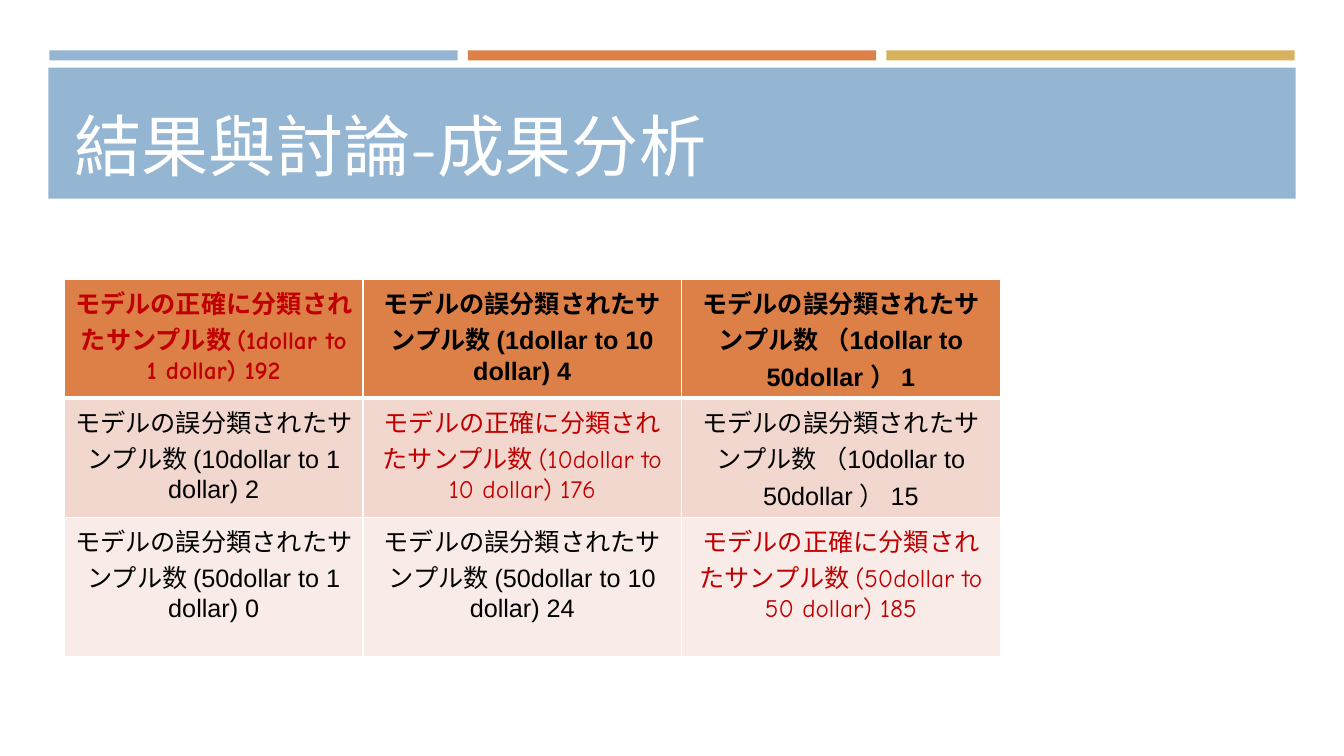
from lxml import etree
from pptx import Presentation
from pptx.dml.color import RGBColor
from pptx.enum import shapes, text
from pptx.oxml.ns import qn
from pptx.util import Inches, Pt

WHITE = RGBColor(0xFF, 0xFF, 0xFF)
BLACK = RGBColor(0, 0, 0)
RED = RGBColor(0xC0, 0, 0)
BLUE = RGBColor(0x94, 0xB6, 0xD2)
ORANGE = RGBColor(0xDD, 0x80, 0x47)
GOLD = RGBColor(0xD8, 0xB2, 0x5C)
ROW_FILLS = [ORANGE, RGBColor(0xF2, 0xD7, 0xCE), RGBColor(0xF9, 0xEC, 0xE8)]

COLUMN_WIDTHS = [2.96, 3.16, 3.16]
ROW_HEIGHTS = [1.18, 1.18, 1.38]
DOLLARS = [1, 10, 50]
SAMPLE_COUNTS = [[192, 4, 1], [2, 176, 15], [0, 24, 185]]


def add_band(slide, left, top, width, height, color):
    band = slide.shapes.add_shape(
        shapes.MSO_SHAPE.RECTANGLE,
        Inches(left), Inches(top), Inches(width), Inches(height))
    band.shadow.inherit = False
    band.fill.solid()
    band.fill.fore_color.rgb = color
    band.line.fill.background()


def write_run(paragraph, words, color, **font_format):
    run = paragraph.add_run()
    run.text = words
    run.font.color.rgb = color
    for name, value in font_format.items():
        setattr(run.font, name, value)


def add_title(slide, words):
    title = slide.shapes.add_textbox(
        Inches(0.64), Inches(0.77), Inches(12.06), Inches(1.11))
    frame = title.text_frame
    frame.word_wrap = True
    frame.vertical_anchor = text.MSO_ANCHOR.BOTTOM
    write_run(frame.paragraphs[0], words, WHITE,
              size=Pt(48), name="Comic Neue")


def set_borders(cell, bottom_width):
    properties = cell._tc.get_or_add_tcPr()
    for side, width in {"L": 1, "R": 1, "T": 1, "B": bottom_width}.items():
        border = etree.SubElement(properties, qn(f"a:ln{side}"), w=str(Pt(width)))
        fill = etree.SubElement(border, qn("a:solidFill"))
        etree.SubElement(fill, qn("a:srgbClr"), val=str(WHITE))


def count_label(row, column):
    """Wording for samples of one coin (row) classified as another (column)."""
    actual, predicted = DOLLARS[row], DOLLARS[column]
    count = SAMPLE_COUNTS[row][column]
    if row == column:
        return f"モデルの正確に分類されたサンプル数 ({actual}dollar to {predicted} dollar) {count}"
    if predicted == 50:
        return f"モデルの誤分類されたサンプル数 （{actual}dollar to {predicted}dollar ） {count}"
    return f"モデルの誤分類されたサンプル数 ({actual}dollar to {predicted} dollar) {count}"


def fill_cell(cell, row, column):
    correct = row == column
    set_borders(cell, 3 if row == 0 else 1)
    cell.fill.solid()
    cell.fill.fore_color.rgb = ROW_FILLS[row]
    paragraph = cell.text_frame.paragraphs[0]
    paragraph.alignment = text.PP_ALIGN.CENTER
    write_run(paragraph, count_label(row, column), RED if correct else BLACK,
              size=Pt(18), bold=row == 0,
              name="Comic Neue" if correct else "Arial")


def add_confusion_table(slide):
    table = slide.shapes.add_table(
        len(ROW_HEIGHTS), len(COLUMN_WIDTHS), Inches(0.64), Inches(2.77),
        Inches(sum(COLUMN_WIDTHS)), Inches(sum(ROW_HEIGHTS))).table
    for column, width in enumerate(COLUMN_WIDTHS):
        table.columns[column].width = Inches(width)
    for row, height in enumerate(ROW_HEIGHTS):
        table.rows[row].height = Inches(height)
        for column in range(len(COLUMN_WIDTHS)):
            fill_cell(table.cell(row, column), row, column)


def main():
    deck = Presentation()
    deck.slide_width, deck.slide_height = Inches(13.33), Inches(7.5)
    slide = deck.slides.add_slide(deck.slide_layouts[6])
    for index, color in enumerate([BLUE, ORANGE, GOLD]):
        add_band(slide, 0.49 + 4.15 * index, 0.5, 4.05, 0.1, color)
    add_band(slide, 0.48, 0.67, 12.37, 1.3, BLUE)
    add_title(slide, "結果與討論-成果分析")
    add_confusion_table(slide)
    deck.save("out.pptx")


if __name__ == "__main__":
    main()
